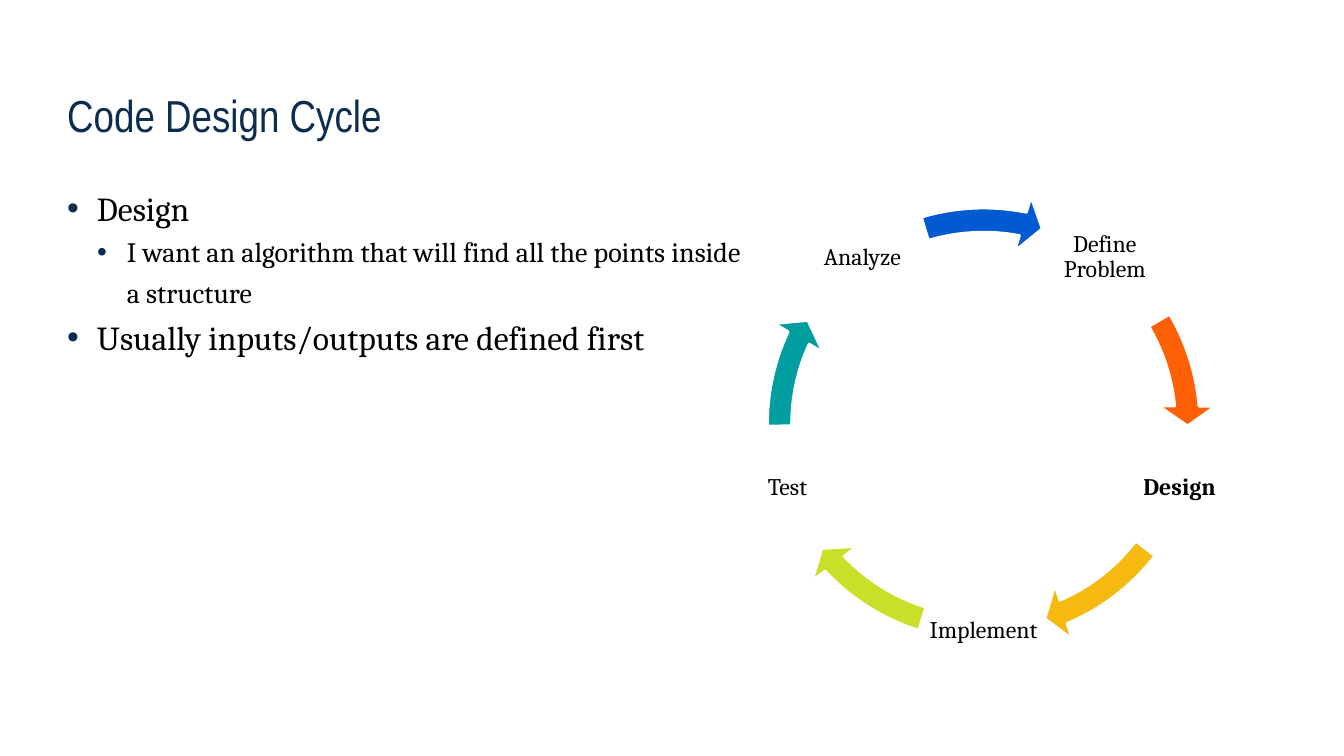
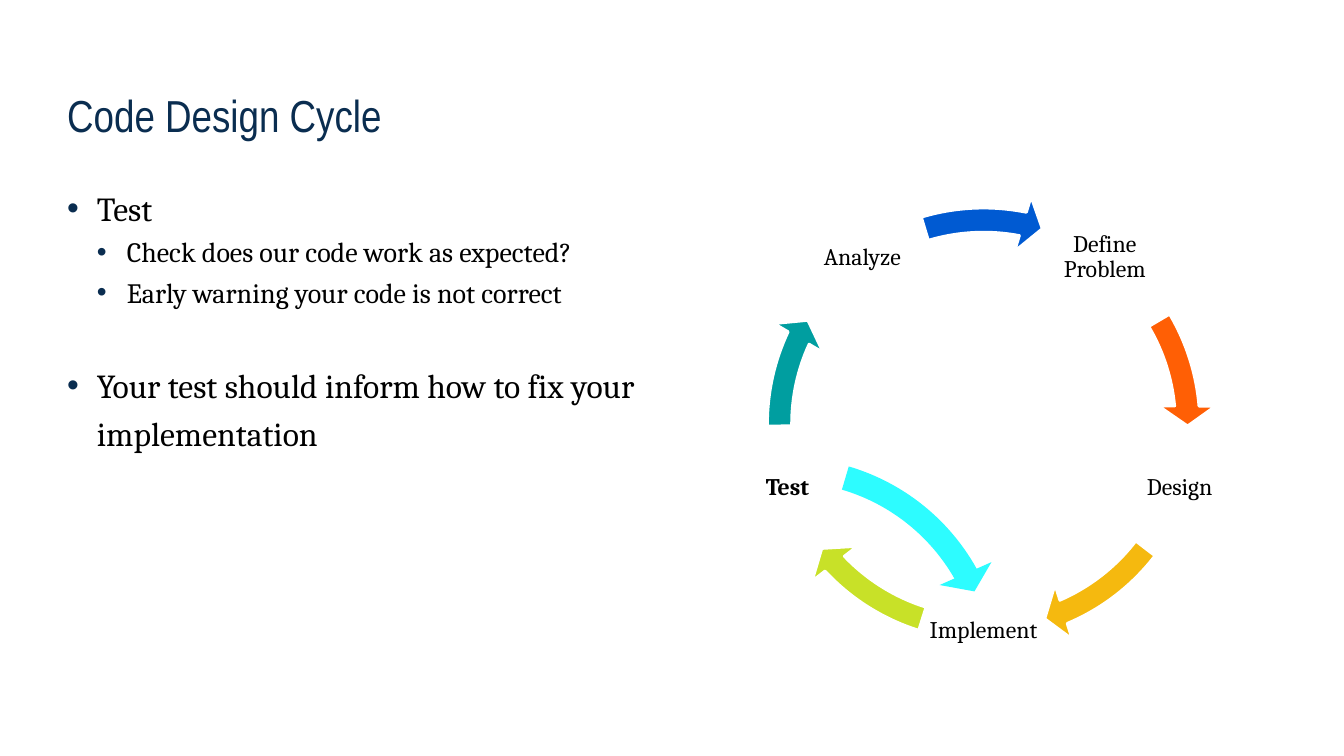
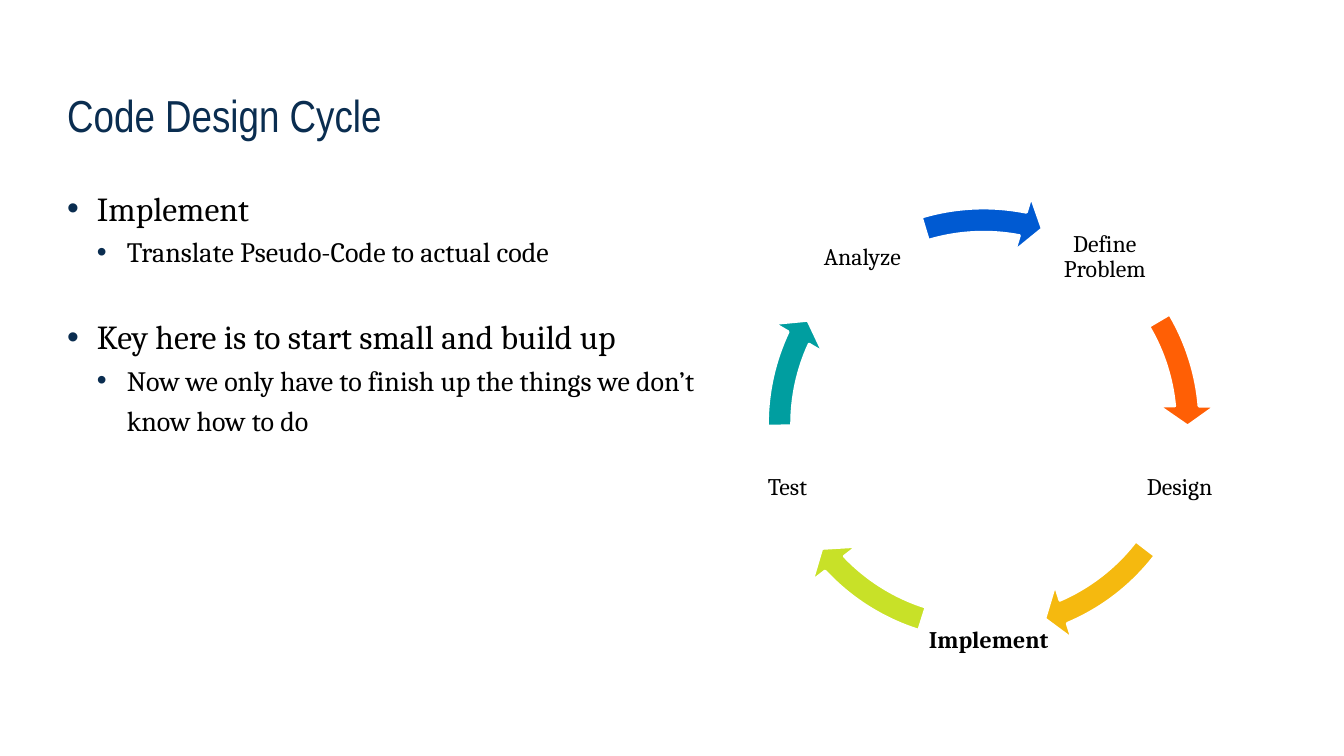
"""Build three slides that walk through the code design cycle."""
import math

import lxml.etree
import pptx
import pptx.dml.color
import pptx.enum.shapes
import pptx.enum.text
import pptx.oxml.ns
import pptx.util

Pt = pptx.util.Pt
ALIGN = pptx.enum.text.PP_ALIGN
ANCHOR = pptx.enum.text.MSO_ANCHOR

TITLE = "Code Design Cycle"
NAVY, BLACK, WHITE, CYAN = "0A2D50", "000000", "FFFFFF", "2DFCFF"
TITLE_FONT, BODY_FONT = "Arial Narrow", "Cambria"

RING_CENTRE = (702.6, 303)
RING_RADIUS = 147.3
ARROW_SIZE = 332
LABEL_SIZE = 88.5
BODY_SIZES = (24, 20)
INDENT = 21.3

STAGES = [
    ("Define Problem", "FF5F05", 212.95, 197.65),
    ("Design", "F5B90F", 40.16, 22.52),
    ("Implement", "C8E128", 82.12, 64.48),
    ("Test", "009EA0", 122.99, 107.7),
    ("Analyze", "005AD2", 168.67, 151.97),
]

SLIDES = [
    {
        "stage": "Design",
        "body_width": 489,
        "bullets": [
            (0, "Design", 0),
            (1, "I want an algorithm that will find all the points inside a structure", 0),
            (0, "Usually inputs/outputs are defined first", 0),
        ],
    },
    {
        "stage": "Test",
        "body_width": 479,
        "bullets": [
            (0, "Test", 0),
            (1, "Check does our code work as expected?", 0),
            (1, "Early warning your code is not correct", 0),
            (0, "Your test should inform how to fix your implementation", 34),
        ],
        "return_arrow": {"centre": (562.7, 481.3), "end": 122.99, "start": 96.47, "rotation": 125.6},
    },
    {
        "stage": "Implement",
        "body_width": 479,
        "bullets": [
            (0, "Implement", 0),
            (1, "Translate Pseudo-Code to actual code", 0),
            (0, "Key here is to start small and build up", 28.5),
            (1, "Now we only have to finish up the things we don’t know how to do", 0),
        ],
        "label_shift": (3.6, 7.2),
        "label_width": 101.5,
    },
]


def colour(value):
    """Turn a hex string into a colour."""
    return pptx.dml.color.RGBColor.from_string(value)


def write(paragraph, text, size, font=BODY_FONT, ink=BLACK, bold=False, align=ALIGN.LEFT, spacing=1.0):
    """Put one formatted run in a paragraph."""
    paragraph.alignment = align
    paragraph.line_spacing = spacing
    run = paragraph.add_run()
    run.text = text
    run.font.size = Pt(size)
    run.font.name = font
    run.font.bold = bold
    run.font.color.rgb = colour(ink)


def set_frame(shape, anchor=ANCHOR.TOP, margin=0):
    """Prepare the text frame of a shape and return it."""
    frame = shape.text_frame
    frame.word_wrap = True
    frame.auto_size = pptx.enum.text.MSO_AUTO_SIZE.NONE
    frame.vertical_anchor = anchor
    frame.margin_left = frame.margin_right = Pt(margin)
    frame.margin_top = frame.margin_bottom = Pt(margin)
    return frame


def set_bullet(paragraph, level):
    """Give a paragraph a hanging navy bullet."""
    qn = pptx.oxml.ns.qn
    paragraph.level = level
    properties = paragraph._p.get_or_add_pPr()
    properties.set("marL", str(Pt(INDENT * (level + 1))))
    properties.set("indent", str(-Pt(INDENT)))
    bullet_colour = lxml.etree.SubElement(properties, qn("a:buClr"))
    lxml.etree.SubElement(bullet_colour, qn("a:srgbClr")).set("val", NAVY)
    lxml.etree.SubElement(properties, qn("a:buFont")).set("typeface", "Arial")
    lxml.etree.SubElement(properties, qn("a:buChar")).set("char", "•")


def add_title(slide):
    """Place and fill the title placeholder."""
    title = slide.shapes.title
    title.left, title.top, title.width, title.height = Pt(48), Pt(62.6), Pt(864), Pt(51)
    write(set_frame(title).paragraphs[0], TITLE, 32, font=TITLE_FONT, ink=NAVY)


def add_body(slide, bullets, width):
    """Add the bulleted text on the left."""
    frame = set_frame(slide.shapes.add_textbox(Pt(48), Pt(128.4), Pt(width), Pt(357)))
    for index, (level, text, gap) in enumerate(bullets):
        paragraph = frame.add_paragraph() if index else frame.paragraphs[0]
        set_bullet(paragraph, level)
        if gap:
            paragraph.space_before = Pt(gap)
        write(paragraph, text, BODY_SIZES[level], spacing=1.2)


def add_arrow(slide, fill, end, start, centre=RING_CENTRE, rotation=0, outline=WHITE):
    """Add one curved arrow around a centre."""
    left, top = (value - ARROW_SIZE / 2 for value in centre)
    arrow = slide.shapes.add_shape(
        pptx.enum.shapes.MSO_SHAPE.CIRCULAR_ARROW, Pt(left), Pt(top), Pt(ARROW_SIZE), Pt(ARROW_SIZE))
    for index, value in enumerate((0.052, 3.355, end, start, 0.061)):
        arrow.adjustments[index] = value
    arrow.rotation = rotation
    arrow.shadow.inherit = False
    arrow.fill.solid()
    arrow.fill.fore_color.rgb = colour(fill)
    if outline:
        arrow.line.color.rgb = colour(outline)
        arrow.line.width = Pt(2)
    else:
        arrow.line.fill.background()


def add_label(slide, name, centre_x, centre_y, width, bold):
    """Add the unfilled outline that carries a stage name."""
    left, right = Pt(centre_x - width / 2), Pt(centre_x + width / 2)
    top, bottom = Pt(centre_y - LABEL_SIZE / 2), Pt(centre_y + LABEL_SIZE / 2)
    builder = slide.shapes.build_freeform(left, top)
    builder.add_line_segments([(right, top), (right, bottom), (left, bottom)], close=True)
    label = builder.convert_to_shape()
    label.shadow.inherit = False
    label.fill.background()
    label.line.fill.background()
    frame = set_frame(label, anchor=ANCHOR.MIDDLE, margin=1.5)
    write(frame.paragraphs[0], name, 17, bold=bold, align=ALIGN.CENTER, spacing=0.9)


def add_cycle(slide, current, shift, current_width):
    """Add the ring of stages with the current one in bold."""
    for index, (name, fill, end, start) in enumerate(STAGES):
        angle = math.radians(360 / len(STAGES) * index - 54)
        centre_x = RING_CENTRE[0] + RING_RADIUS * math.cos(angle)
        centre_y = RING_CENTRE[1] + RING_RADIUS * math.sin(angle)
        width = LABEL_SIZE
        if name == current:
            centre_x, centre_y, width = centre_x + shift[0], centre_y + shift[1], current_width
        add_label(slide, name, centre_x, centre_y, width, name == current)
        add_arrow(slide, fill, end, start)


def main():
    """Build and save the presentation."""
    presentation = pptx.Presentation()
    presentation.slide_width, presentation.slide_height = Pt(960), Pt(540)
    for content in SLIDES:
        slide = presentation.slides.add_slide(presentation.slide_layouts[5])
        add_title(slide)
        add_cycle(slide, content["stage"], content.get("label_shift", (0, 0)),
                  content.get("label_width", LABEL_SIZE))
        add_body(slide, content["bullets"], content["body_width"])
        if "return_arrow" in content:
            add_arrow(slide, CYAN, outline=None, **content["return_arrow"])
    presentation.save("out.pptx")


if __name__ == "__main__":
    main()
